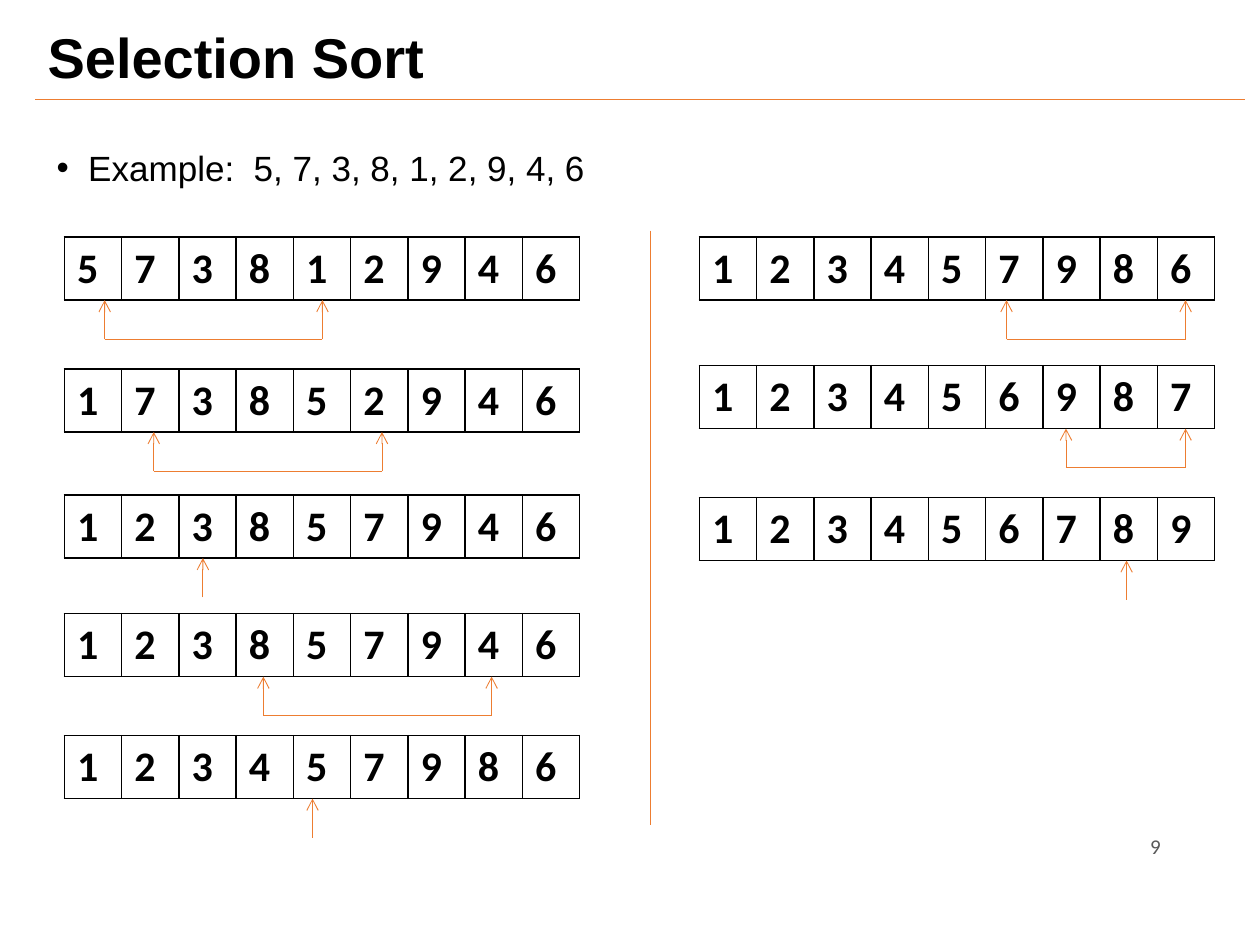
from lxml.etree import SubElement
from pptx import Presentation
from pptx.dml.color import RGBColor
from pptx.enum.shapes import MSO_CONNECTOR
from pptx.enum.text import MSO_ANCHOR, PP_ALIGN
from pptx.oxml import parse_xml
from pptx.oxml.ns import qn, nsdecls
from pptx.util import Cm, Pt

BLACK = RGBColor(0, 0, 0)
GREY = RGBColor(0x59, 0x59, 0x59)
ORANGE = RGBColor(0xED, 0x7D, 0x31)

deck = Presentation()
deck.slide_width, deck.slide_height = Cm(25.4), Cm(19.05)
slide = deck.slides.add_slide(deck.slide_layouts[6])
shapes = slide.shapes


def write(frame, text, size, font, color=BLACK, bold=False):
    run = frame.paragraphs[0].add_run()
    run.text = text
    run.font.size, run.font.name, run.font.bold = Pt(size), font, bold
    run.font.color.rgb = color


def draw(x1, y1, x2, y2, arrow=False):
    line = shapes.add_connector(MSO_CONNECTOR.STRAIGHT, Cm(x1), Cm(y1), Cm(x2), Cm(y2))
    line.line.color.rgb = ORANGE
    line.line.width = Pt(0.5)
    if arrow:
        SubElement(line.line._get_or_add_ln(), qn("a:tailEnd"), type="arrow")
    SubElement(line._element.spPr, qn("a:effectLst"))


texts = [
    ((0.71, 0.33, 23.42, 1.78), "Selection Sort", 32, "Arial", BLACK, True),
    ((0.89, 2.92, 23.6, 13.89), "Example:  5, 7, 3, 8, 1, 2, 9, 4, 6", 20, "Arial", BLACK, False),
    ((20.47, 16.54, 3.18, 1.02), "9", 12, "Calibri", GREY, False),
]
frames = []
for place, *style in texts:
    frame = shapes.add_textbox(*map(Cm, place)).text_frame
    frame.word_wrap = True
    write(frame, *style)
    frames.append(frame)

title, body, number = frames
title.vertical_anchor = number.vertical_anchor = MSO_ANCHOR.MIDDLE
title.paragraphs[0].line_spacing = body.paragraphs[0].line_spacing = 0.9
number.paragraphs[0].alignment = PP_ALIGN.RIGHT
body.paragraphs[0].space_before = Pt(10)
props = body.paragraphs[0]._p.get_or_add_pPr()
props.set("marL", str(Cm(0.64)))
props.set("indent", str(-Cm(0.64)))
SubElement(props, qn("a:buFont"), typeface="Arial")
SubElement(props, qn("a:buChar"), char="•")

draw(0.71, 2.01, 25.1, 2.01)
draw(13.11, 4.65, 13.11, 16.64)

steps = [
    (1.3, 4.78, "573812946", (2.11, 6.5)),
    (1.3, 7.44, "173852946", (3.1, 7.7)),
    (1.3, 9.98, "123857946", (4.09,)),
    (1.3, 12.37, "123857946", (5.31, 9.91)),
    (1.3, 14.83, "123457986", (6.3,)),
    (14.1, 4.78, "123457986", (20.29, 23.9)),
    (14.1, 7.37, "123456987", (21.49, 23.9)),
    (14.1, 10.03, "123456789", (22.71,)),
]
for left, top, digits, marks in steps:
    table = shapes.add_table(1, 9, Cm(left), Cm(top), Cm(10.39), Cm(1.27)).table
    table.first_row = table.horz_banding = False
    for cell, digit in zip(table.rows[0].cells, digits):
        write(cell.text_frame, digit, 24, "Calibri", bold=True)
        for side in "LRTB":
            cell._tc.get_or_add_tcPr().append(parse_xml(
                f'<a:ln{side} {nsdecls("a")} w="{Pt(1)}"><a:solidFill>'
                f'<a:srgbClr val="{BLACK}"/></a:solidFill></a:ln{side}>'))
        cell.fill.background()
    high, low = top + 1.27, top + 2.06
    for x in marks:
        draw(x, low, x, high, arrow=True)
    if len(marks) == 2:
        draw(marks[0], low, marks[1], low)

deck.save("out.pptx")
